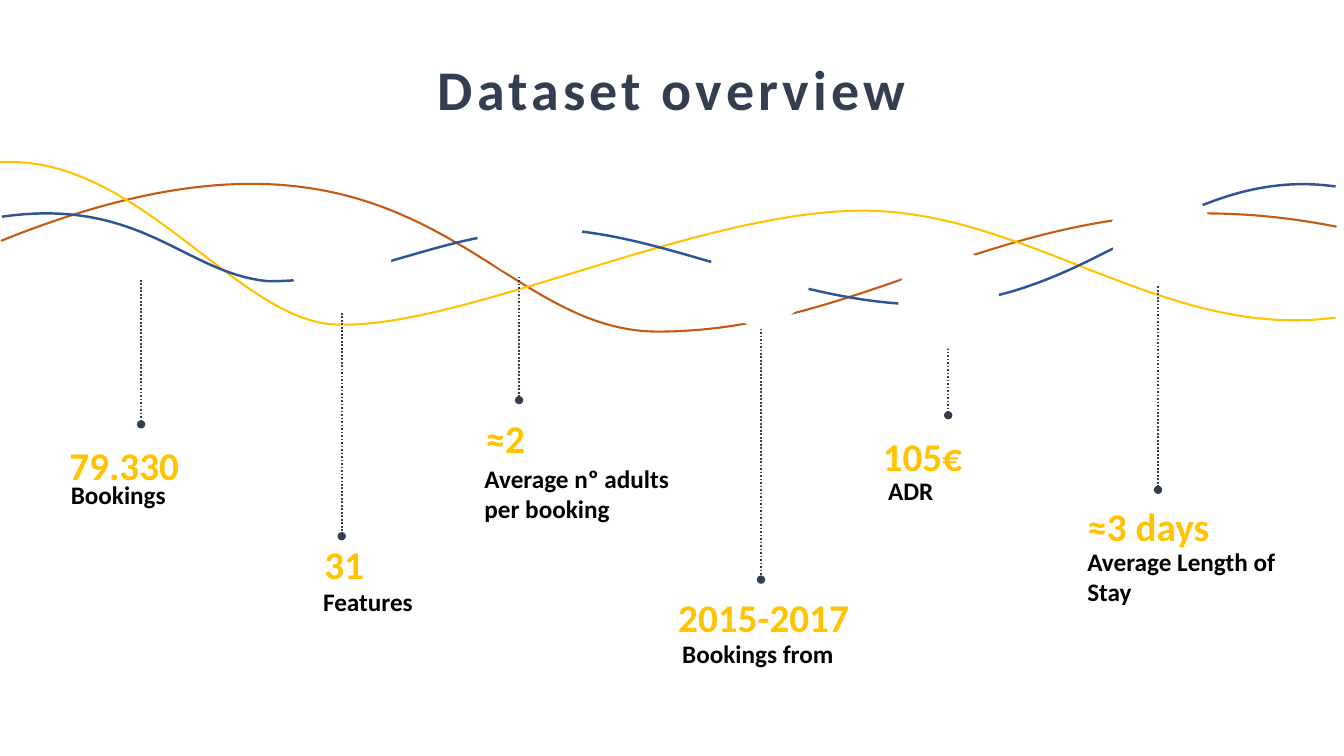
import dataclasses
import pptx
import pptx.util
import pptx.dml.color
import pptx.enum.dml
import pptx.enum.shapes
import pptx.enum.text
import pptx.oxml.ns
import lxml.etree

Pt = pptx.util.Pt
qn = pptx.oxml.ns.qn


@dataclasses.dataclass(frozen=True)
class Theme:
    font: str = "Calibri"
    navy: str = "333F50"
    gold: str = "FFC300"
    rust: str = "C55A11"
    blue: str = "2F5597"
    black: str = "000000"
    white: str = "FFFFFF"
    title: int = 40
    value: int = 28
    label: int = 18


theme = Theme()

WAVES = [
    (theme.rust, 1.5, (0.7, 23, 954, 105.9), [
        (954.7, 54), (737.3, 10.8), (633.6, 128.9), (469.4, 128.9),
        (342.7, 128.2), (298.8, -56.2), (0.7, 64.1)]),
    (theme.gold, 1.47, (-0.7, 7.9, 954.7, 115.9), [
        (954, 118.8), (832.3, 135.4), (733.7, 41.8), (614.9, 42.5),
        (496.1, 43.2), (329.8, 127.4), (239.8, 123.8),
        (169.2, 121), (97.9, 1.4), (-0.7, 7.9)]),
    (theme.blue, 1.75, (1.4, 23.8, 952.6, 85.7), [
        (954, 25.2), (841.7, 9.4), (780.5, 110.9), (656.6, 109.4),
        (562.3, 108), (465.1, 54), (388.8, 56.2),
        (311.8, 59), (265, 92.9), (192.2, 92.9),
        (132.5, 87.8), (101.5, 32.4), (1.4, 46.8)]),
]

GAPS = [
    (207.4, 43.2, 72), (339.8, 13.7, 76.3), (506.9, 52.6, 72),
    (641.5, 69.1, 72), (793.4, 23, 72),
]

FACTS = [
    ("79.330", "Bookings", (42.5, 315.4, 139, 38.2),
     (58.3, -115.4, -12.3), (1, 23.3, 96.5, 28.8), 0.9),
    ("31", "Features", (224.6, 386.4, 161.3, 38.2),
     (19.5, -165.4, -3.4), (-0.9, 29, 101.5, 28.8), 0.9),
    ("≈2", "Average nº adults per booking", (339.8, 295.9, 136.8, 38.2),
     (31, -105.8, -10.1), (-0.8, 31.3, 153.4, 51.1), 0.9),
    ("2015-2017", "Bookings from", (477.4, 420.5, 228.2, 41),
     (66.2, -185.8, -6.5), (2.8, 31.7, 136.1, 28.8), 1.0),
    ("105€", "ADR", (623.5, 305.3, 112.3, 41),
     (53.8, -64.1, -8.7), (3.8, 30.9, 112.3, 28.8), 1.0),
    ("≈3 days", "Average Length of Stay", (769.7, 355, 142.6, 41),
     (57.5, -150.5, -5.1), (-0.1, 31.6, 162.7, 51.1), 1.0),
]


def tint(name):
    return pptx.dml.color.RGBColor.from_string(name)


def style(para, size, color):
    font = para.font
    font.name, font.size, font.bold = theme.font, Pt(size), True
    font.color.rgb = tint(color)


def write(slide, box, text, size, color, lead=1.0, after=0):
    frame = slide.shapes.add_textbox(*map(Pt, box)).text_frame
    frame.word_wrap = True
    frame.auto_size = pptx.enum.text.MSO_AUTO_SIZE.SHAPE_TO_FIT_TEXT
    para = frame.paragraphs[0]
    para.text = text
    para.line_spacing = lead
    para.space_after = Pt(after)
    style(para, size, color)


def head(slide, box, text):
    title = slide.shapes.title
    title.left, title.top, title.width, title.height = map(Pt, box)
    frame = title.text_frame
    frame.word_wrap = True
    frame.auto_size = pptx.enum.text.MSO_AUTO_SIZE.SHAPE_TO_FIT_TEXT
    frame.vertical_anchor = pptx.enum.text.MSO_ANCHOR.TOP
    para = frame.paragraphs[0]
    run = para.add_run()
    run.text = text
    run._r.get_or_add_rPr().set("spc", "300")
    para.alignment = pptx.enum.text.PP_ALIGN.CENTER
    para.line_spacing = 1.0
    style(para, theme.title, theme.navy)


def bend(wave, nodes):
    route = next(wave._element.iter(qn("a:path")))
    for step in list(route):
        route.remove(step)
    groups = [("a:moveTo", nodes[:1])]
    groups += [("a:cubicBezTo", nodes[i:i + 3])
               for i in range(1, len(nodes), 3)]
    for tag, points in groups:
        step = lxml.etree.SubElement(route, qn(tag))
        for x, y in points:
            lxml.etree.SubElement(step, qn("a:pt"), x=str(Pt(x)), y=str(Pt(y)))


def waves(slide, box):
    left, top = box[:2]
    for color, width, (x, y, w, h), nodes in WAVES:
        start = left + x, top + y
        end = start[0] + w, start[1] + h
        form = slide.shapes.build_freeform(*map(Pt, start))
        form.add_line_segments([tuple(map(Pt, end))], close=False)
        wave = form.convert_to_shape()
        bend(wave, [(a - x, b - y) for a, b in nodes])
        wave.shadow.inherit = False
        wave.fill.background()
        wave.line.color.rgb = tint(color)
        wave.line.width = Pt(width)


def gaps(slide, box):
    left, top = box[:2]
    for x, y, size in GAPS:
        disc = slide.shapes.add_shape(
            pptx.enum.shapes.MSO_SHAPE.OVAL,
            Pt(left + x), Pt(top + y), Pt(size), Pt(size))
        disc.shadow.inherit = False
        disc.fill.solid()
        disc.fill.fore_color.rgb = tint(theme.white)
        disc.line.fill.background()


def fact(slide, box, value, label, stem, note, lead):
    left, top = box[:2]
    x, start, end = stem
    link = slide.shapes.add_connector(
        pptx.enum.shapes.MSO_CONNECTOR.STRAIGHT,
        Pt(left + x), Pt(top + start), Pt(left + x), Pt(top + end))
    link.line.color.rgb = tint(theme.navy)
    link.line.width = Pt(1.25)
    link.line.dash_style = pptx.enum.dml.MSO_LINE.ROUND_DOT
    props = link._element.spPr
    lxml.etree.SubElement(props.find(qn("a:ln")), qn("a:tailEnd"), type="oval")
    lxml.etree.SubElement(props, qn("a:effectLst"))
    write(slide, box, value, theme.value, theme.gold, lead, 6)
    dx, dy, width, height = note
    write(slide, (left + dx, top + dy, width, height), label,
          theme.label, theme.black)


def main():
    deck = pptx.Presentation()
    deck.slide_width, deck.slide_height = Pt(960), Pt(540)
    slide = deck.slides.add_slide(deck.slide_layouts[5])
    head(slide, (48, 35.3, 864, 55.4), "Dataset overview")
    band = (0, 108, 960, 144)
    waves(slide, band)
    for value, label, box, stem, note, lead in FACTS:
        fact(slide, box, value, label, stem, note, lead)
    gaps(slide, band)
    deck.save("out.pptx")


if __name__ == "__main__":
    main()
